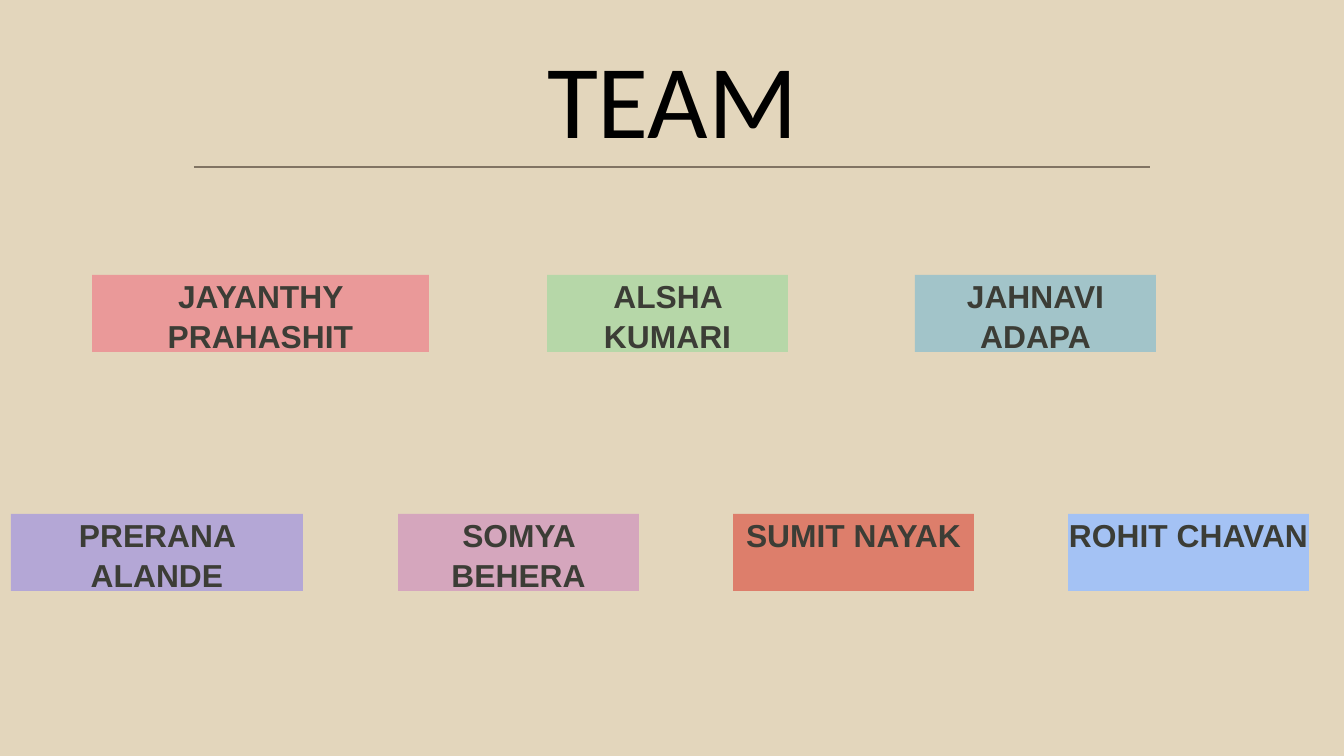
import dataclasses

import lxml.etree
import pptx
import pptx.dml.color
import pptx.enum.shapes
import pptx.enum.text
import pptx.oxml.ns
import pptx.slide
import pptx.util

EMU_PER_PX = 914400 / 134.4
SLIDE_WIDTH, SLIDE_HEIGHT = 1344, 756
BOX_WIDTH, BOX_HEIGHT = 241, 77
TOP_ROW, BOTTOM_ROW = 275, 514
BOTTOM_LEFT, BOTTOM_STEP = 398, 335

SAND = pptx.dml.color.RGBColor(0xE3, 0xD6, 0xBC)
BLACK = pptx.dml.color.RGBColor(0x00, 0x00, 0x00)
CHARCOAL = pptx.dml.color.RGBColor(0x3C, 0x3D, 0x36)
BROWN = pptx.dml.color.RGBColor(0x81, 0x74, 0x63)
ROSE = pptx.dml.color.RGBColor(0xEA, 0x99, 0x99)
GREEN = pptx.dml.color.RGBColor(0xB6, 0xD7, 0xA8)
TEAL = pptx.dml.color.RGBColor(0xA2, 0xC4, 0xC9)
LAVENDER = pptx.dml.color.RGBColor(0xB4, 0xA7, 0xD6)
MAUVE = pptx.dml.color.RGBColor(0xD5, 0xA6, 0xBD)
CORAL = pptx.dml.color.RGBColor(0xDD, 0x7E, 0x6B)
BLUE = pptx.dml.color.RGBColor(0xA4, 0xC2, 0xF4)


@dataclasses.dataclass(frozen=True)
class Member:
    name: str
    left: int
    top: int
    color: pptx.dml.color.RGBColor
    width: int = BOX_WIDTH


MEMBERS = [
    Member("JAYANTHY PRAHASHIT", 92, TOP_ROW, ROSE, 337),
    Member("ALSHA KUMARI", 547, TOP_ROW, GREEN),
    Member("JAHNAVI ADAPA", 915, TOP_ROW, TEAL),
    Member("PRERANA ALANDE", 11, BOTTOM_ROW, LAVENDER, 292),
    Member("SOMYA BEHERA", BOTTOM_LEFT, BOTTOM_ROW, MAUVE),
    Member("SUMIT NAYAK", BOTTOM_LEFT + BOTTOM_STEP, BOTTOM_ROW, CORAL),
    Member("ROHIT CHAVAN", BOTTOM_LEFT + 2 * BOTTOM_STEP, BOTTOM_ROW, BLUE),
]


def px(length: int) -> pptx.util.Emu:
    return pptx.util.Emu(round(length * EMU_PER_PX))


def write_text(shape, text: str, font_name: str, size: int, bold: bool,
               color: pptx.dml.color.RGBColor, spacing: float, inset: int,
               anchor: pptx.enum.text.MSO_ANCHOR) -> None:
    frame = shape.text_frame
    frame.word_wrap = True
    frame.auto_size = pptx.enum.text.MSO_AUTO_SIZE.NONE
    frame.vertical_anchor = anchor
    frame.margin_left = frame.margin_right = px(inset)
    frame.margin_top = frame.margin_bottom = px(inset)
    paragraph = frame.paragraphs[0]
    paragraph.alignment = pptx.enum.text.PP_ALIGN.CENTER
    paragraph.line_spacing = spacing
    run = paragraph.add_run()
    run.text = text
    run.font.name = font_name
    run.font.size = pptx.util.Pt(size)
    run.font.bold = bold
    run.font.color.rgb = color


def add_title(slide: pptx.slide.Slide) -> None:
    title = slide.shapes.title
    title.left, title.top, title.width, title.height = map(px, (422, 48, 501, 133))
    write_text(title, "TEAM", "Calibri", 56, False, BLACK, 0.65, 13,
               pptx.enum.text.MSO_ANCHOR.MIDDLE)


def add_member(slide: pptx.slide.Slide, member: Member) -> None:
    shape = slide.shapes.add_shape(
        pptx.enum.shapes.MSO_SHAPE.RECTANGLE,
        px(member.left), px(member.top), px(member.width), px(BOX_HEIGHT))
    shape.shadow.inherit = False
    shape.fill.solid()
    shape.fill.fore_color.rgb = member.color
    shape.line.fill.background()
    write_text(shape, member.name, "Arial", 17, True, CHARCOAL, 1.05, 0,
               pptx.enum.text.MSO_ANCHOR.TOP)


def add_divider(slide: pptx.slide.Slide) -> None:
    divider = slide.shapes.add_connector(
        pptx.enum.shapes.MSO_CONNECTOR.STRAIGHT, px(194), px(167), px(1150), px(167))
    divider.line.color.rgb = BROWN
    divider.line.width = pptx.util.Pt(1.5)
    properties = divider._element.spPr
    lxml.etree.SubElement(properties, pptx.oxml.ns.qn("a:effectLst"))


def main() -> None:
    presentation = pptx.Presentation()
    presentation.slide_width = px(SLIDE_WIDTH)
    presentation.slide_height = px(SLIDE_HEIGHT)
    slide = presentation.slides.add_slide(presentation.slide_layouts[5])
    slide.background.fill.solid()
    slide.background.fill.fore_color.rgb = SAND
    add_title(slide)
    for member in MEMBERS:
        add_member(slide, member)
    add_divider(slide)
    presentation.save("out.pptx")


if __name__ == "__main__":
    main()
